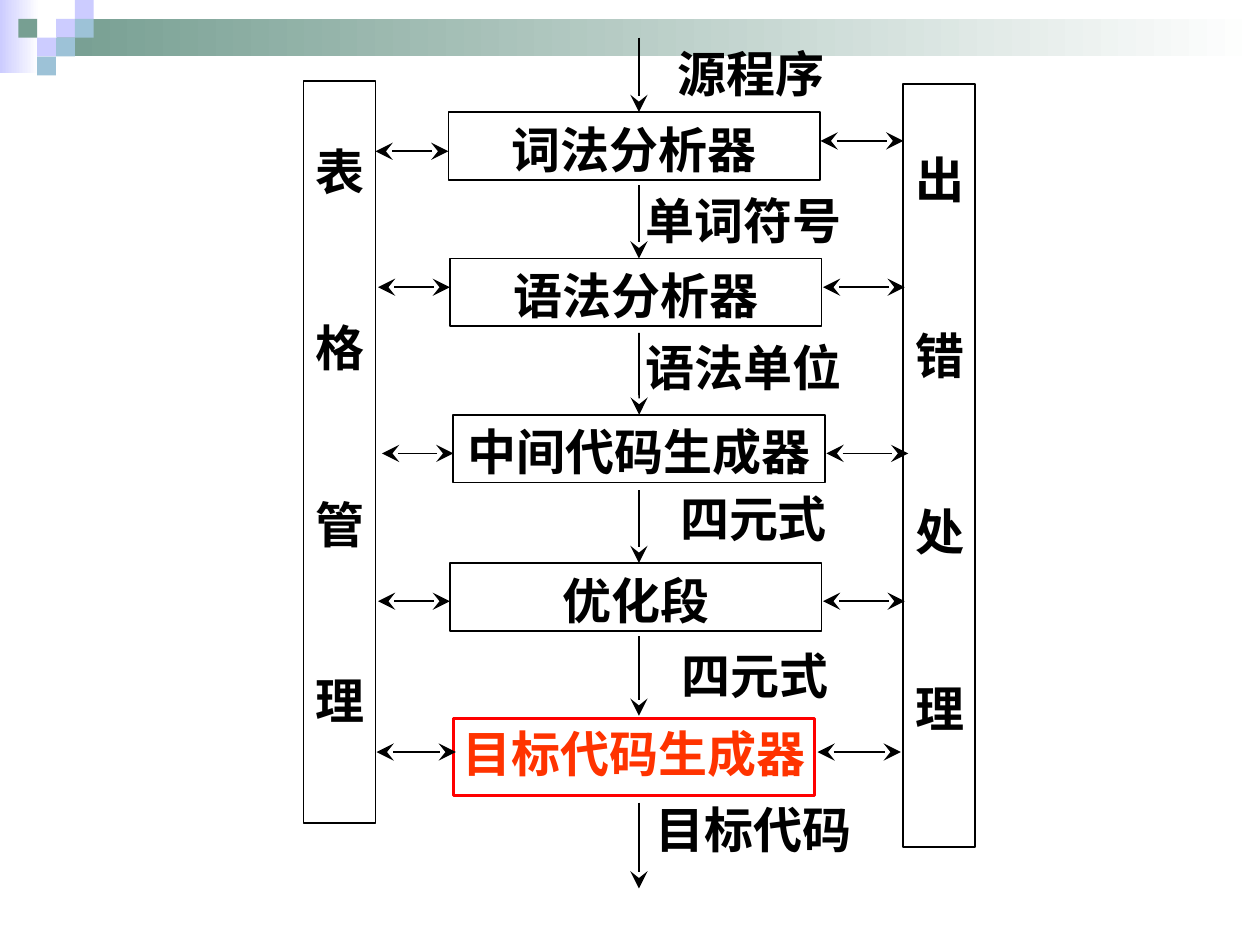
import pptx
import pptx.util
import pptx.dml.color
import pptx.enum.shapes
import pptx.enum.text
import pptx.oxml.ns
from lxml import etree
from pptx.util import Cm, Pt

COLOURS = {
    "black": "000000", "white": "FFFFFF", "red": "FF0000", "orange": "FF3300",
    "lavender": "CCCCFF", "green": "779F92", "blue": "9DC2D7",
}
SERIF, SANS = "Times New Roman", "Noto Sans CJK SC"
RGB = {name: pptx.dml.color.RGBColor.from_string(value) for name, value in COLOURS.items()}
qn = pptx.oxml.ns.qn
RECTANGLE = pptx.enum.shapes.MSO_SHAPE.RECTANGLE

presentation = pptx.Presentation()
presentation.slide_width, presentation.slide_height = Cm(25.4), Cm(19.05)
slide = presentation.slides.add_slide(presentation.slide_layouts[6])
shapes = slide.shapes


def write(shape, lines, latin=SERIF, colour="black", **frame_format):
    """Fill a shape with bold centred lines and set its text frame from frame_format."""
    frame = shape.text_frame
    frame_format = {"word_wrap": True,
                    "vertical_anchor": pptx.enum.text.MSO_ANCHOR.MIDDLE, **frame_format}
    for name, value in frame_format.items():
        setattr(frame, name, value)
    for index, line in enumerate(lines):
        paragraph = frame.paragraphs[0] if index == 0 else frame.add_paragraph()
        paragraph.alignment = pptx.enum.text.PP_ALIGN.CENTER
        if index:
            paragraph.space_before = Pt(67)
        run = paragraph.add_run()
        run.text = line
        for name, value in {"size": Pt(28), "bold": True, "name": latin}.items():
            setattr(run.font, name, value)
        run.font.color.rgb = RGB[colour]
        latin_element = run.font._element.find(qn("a:latin"))
        latin_element.addnext(latin_element.makeelement(qn("a:ea"), {"typeface": SANS}))


def add_arrow(start, end, ends):
    """Draw a thin line with large stealth arrowheads at the given ends, in schema order."""
    arrow = shapes.add_connector(pptx.enum.shapes.MSO_CONNECTOR.STRAIGHT,
                                 *(Cm(value) for value in (*start, *end)))
    arrow.line.color.rgb = RGB["black"]
    arrow.line.width = Pt(1)
    line = arrow.line._get_or_add_ln()
    for name in ends:
        etree.SubElement(line, qn(f"a:{name}"), type="stealth", w="lg", len="lg")
    etree.SubElement(arrow._element.spPr, qn("a:effectLst"))
    return arrow


# Header: two fading bands under a mosaic of small squares
for left, top, width, height, colour in (
    (0, 0, 0.79, 1.47, "lavender"),
    (1.14, 0.38, 24.26, 0.76, "green"),
):
    band = shapes.add_shape(RECTANGLE, Cm(left), Cm(top), Cm(width), Cm(height))
    band.shadow.inherit = False
    band.line.fill.background()
    band.fill.gradient()
    band.fill.gradient_angle = 0
    for stop, stop_colour in zip(band.fill.gradient_stops, (colour, "white")):
        stop.color.rgb = RGB[stop_colour]

SQUARE = 0.38
for colour, cells in {
    "lavender": ((2, 1), (3, 0), (1, 2)),
    "blue": ((3, 1), (2, 2), (1, 3)),
    "green": ((0, 1),),
}.items():
    for column, row in cells:
        square = shapes.add_shape(RECTANGLE, Cm(0.37 + column * SQUARE), Cm(row * SQUARE),
                                  Cm(SQUARE), Cm(SQUARE))
        square.shadow.inherit = False
        square.line.fill.background()
        square.fill.solid()
        square.fill.fore_color.rgb = RGB[colour]

# Compiler stages: text, position, size, font, text colour, line colour, line width,
# side inset, downward shift of the text
PLAIN = ("black", "black", 1, 0.25, 0.05)
stages = []
for text, left, top, width, height, latin, colour, line_colour, line_width, inset, shift in (
    ("词法分析器", 9.04, 2.26, 7.49, 1.37, SERIF, *PLAIN),
    ("语法分析器", 9.07, 5.21, 7.49, 1.37, SERIF, *PLAIN),
    ("中间代码生成器", 9.14, 8.36, 7.49, 1.37, SANS, *PLAIN),
    ("优化段", 9.07, 11.35, 7.49, 1.37, SANS, *PLAIN),
    ("目标代码生成器", 9.14, 14.48, 7.29, 1.55, SANS, "orange", "red", 1.75, 0.05, -0.08),
):
    stage = shapes.add_shape(RECTANGLE, Cm(left), Cm(top), Cm(width), Cm(height))
    stage.shadow.inherit = False
    stage.fill.background()
    stage.line.color.rgb = RGB[line_colour]
    stage.line.width = Pt(line_width)
    write(stage, [text], latin, colour, margin_left=Cm(inset), margin_right=Cm(inset),
          margin_top=Cm(0.13 + shift), margin_bottom=Cm(0.13 - shift))
    stages.append(stage)

# Tall side columns, one character per line
for text, left, top, height, first_gap in (
    ("表格管理", 6.12, 1.63, 14.96, 1.23),
    ("出错处理", 18.21, 1.7, 15.37, 1.32),
):
    column = shapes.add_shape(RECTANGLE, Cm(left), Cm(top), Cm(1.45), Cm(height))
    column.shadow.inherit = False
    column.fill.background()
    column.line.color.rgb = RGB["black"]
    column.line.width = Pt(1)
    write(column, text, margin_top=Cm(first_gap),
          vertical_anchor=pptx.enum.text.MSO_ANCHOR.TOP)

# Data passed down: arrow start and end, label text and place
FLOW_X = 12.88
flows = (
    (0.76, 2.26, "源程序", 13.31, 0.99, 3.66, 0.97),
    (3.73, 5.21, "单词符号", 12.94, 3.94, 4.1, 0.97),
    (6.71, 8.36, "语法单位", 12.94, 6.91, 4.1, 0.97),
    (9.88, 11.35, "四元式", 13.31, 10.01, 3.76, 0.86),
    (12.83, 14.43, "四元式", 13.36, 13.16, 3.71, 0.89),
    (16.18, 17.91, "目标代码", 13.14, 16.23, 4.1, 0.97),
)
for index, (start, end, text, left, top, width, height) in enumerate(flows):
    arrow = add_arrow((FLOW_X, start), (FLOW_X, end), ["tailEnd"])
    if index < len(stages):
        stage = stages[index]
        if abs(stage.left + stage.width / 2 - Cm(FLOW_X)) < Cm(0.02):
            arrow.end_connect(stage, 0)
    label = shapes.add_textbox(Cm(left), Cm(top), Cm(width), Cm(height))
    write(label, [text], word_wrap=False, margin_left=0, margin_right=0)

# Two-way arrows between stages and side columns: height, from, to
for y, start, end in (
    (3.05, 9.04, 7.57), (5.79, 9.07, 7.62), (9.14, 9.14, 7.7),
    (12.12, 9.07, 7.62), (15.16, 9.19, 7.59),
    (2.84, 16.54, 18.21), (5.79, 16.59, 18.24), (9.14, 16.66, 18.31),
    (12.12, 16.59, 18.24), (15.16, 16.48, 18.16),
):
    add_arrow((start, y), (end, y), ["headEnd", "tailEnd"])

presentation.save("out.pptx")
